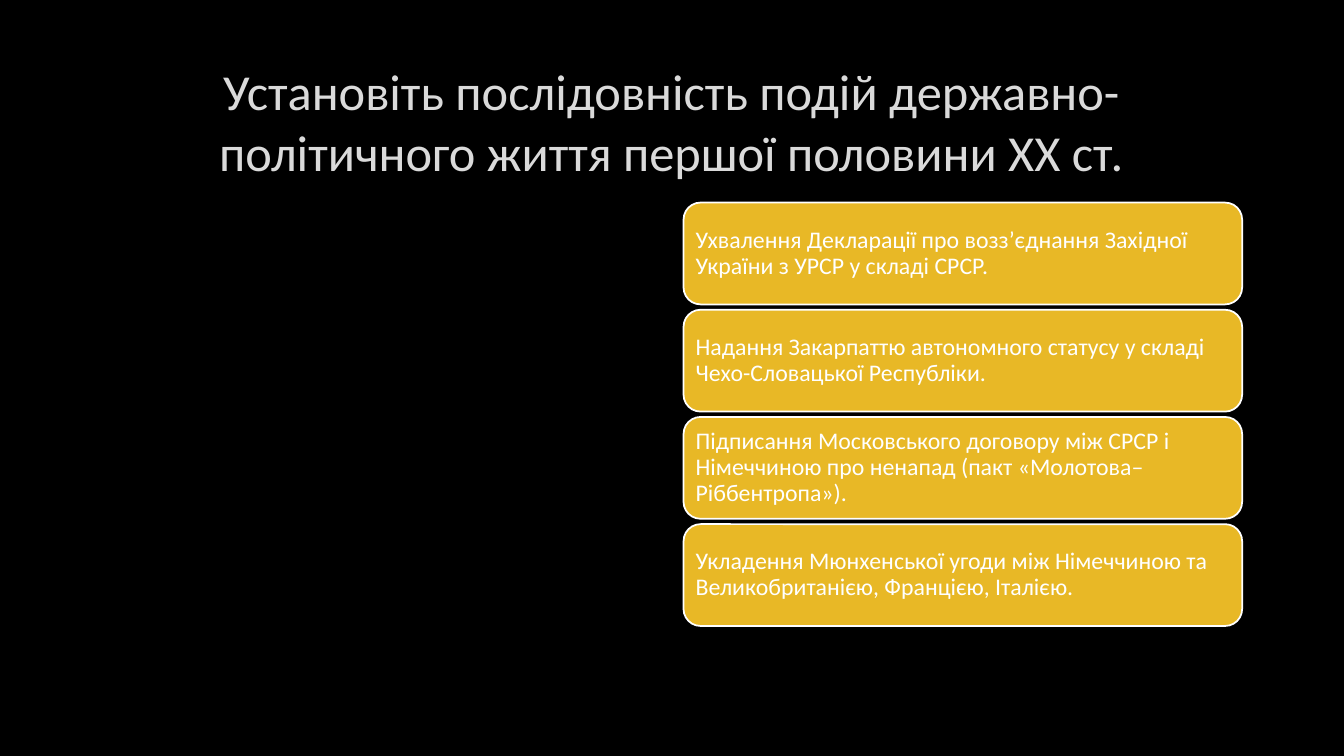
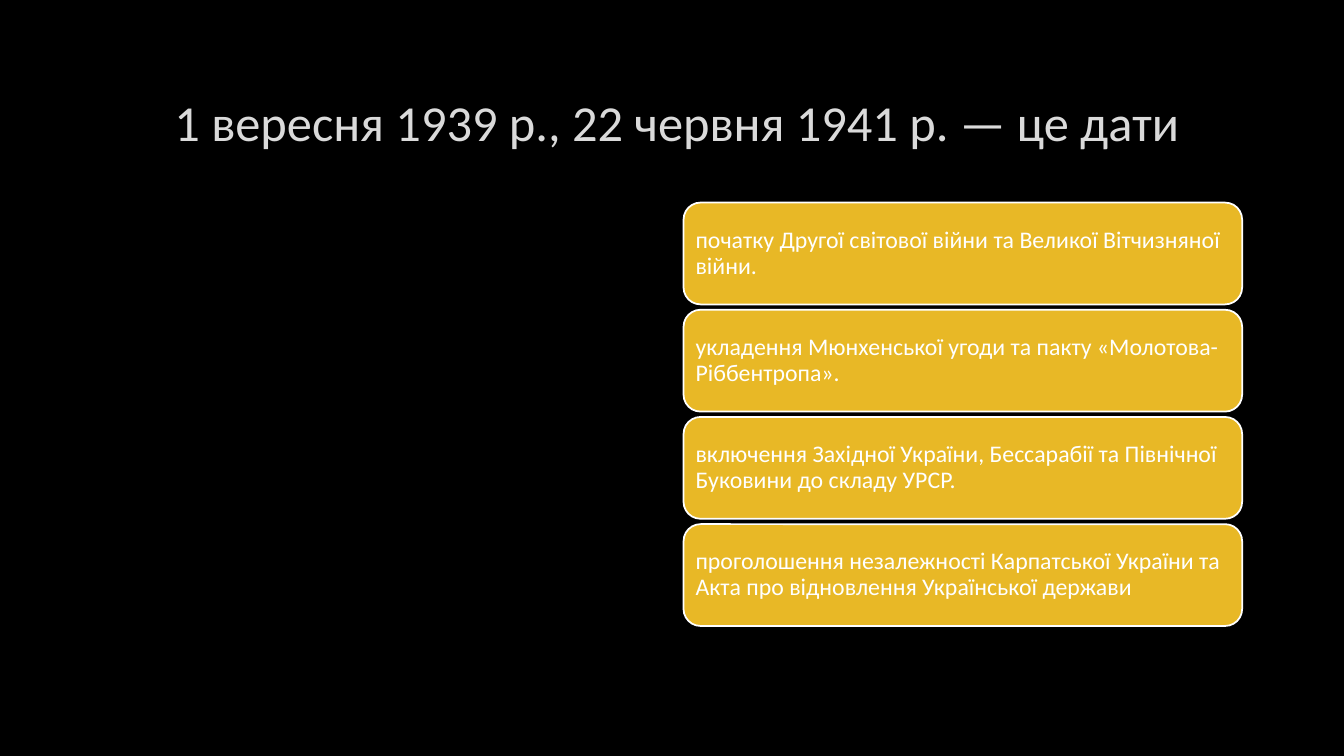
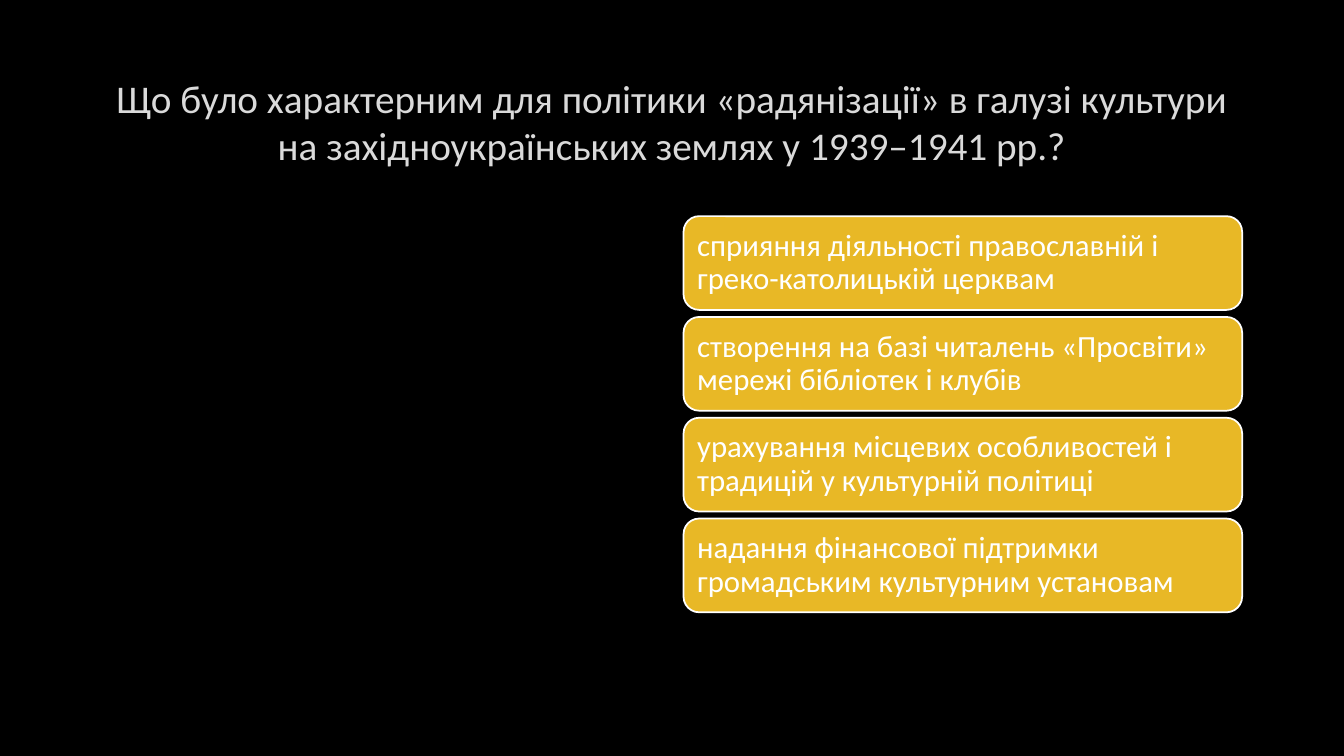
from dataclasses import dataclass

from pptx import Presentation
from pptx.dml.color import RGBColor
from pptx.enum import shapes, text
from pptx.util import Inches, Pt


@dataclass(frozen=True)
class Theme:
    font: str = "Calibri"
    background: RGBColor = RGBColor.from_string("000000")
    title_color: RGBColor = RGBColor.from_string("DADADA")
    card_fill: RGBColor = RGBColor.from_string("E8B826")
    card_text: RGBColor = RGBColor.from_string("FFFFFF")
    card_border: float = 1.25
    title_size: int = 36
    long_title_size: int = 28
    answer_size: int = 17
    large_answer_size: int = 22


@dataclass(frozen=True)
class CardStyle:
    size: int
    height: float
    stack_height: float
    inset: float


THEME = Theme()
COMPACT = CardStyle(THEME.answer_size, 1.01, 4.2, 0.07)
LARGE = CardStyle(THEME.large_answer_size, 0.93, 3.93, 0.09)

QUESTIONS = [
    (
        "Установіть послідовність подій державно-політичного життя першої половини XX ст.",
        THEME.title_size,
        COMPACT,
        [
            "Ухвалення Декларації про возз’єднання Західної України з УРСР у складі СРСР.",
            "Надання Закарпаттю автономного статусу у складі Чехо-Словацької Республіки.",
            "Підписання Московського договору між СРСР і Німеччиною про ненапад (пакт «Молотова–Ріббентропа»).",
            "Укладення Мюнхенської угоди між Німеччиною та Великобританією, Францією, Італією.",
        ],
    ),
    (
        " 1 вересня 1939 р., 22 червня 1941 р. — це дати",
        THEME.title_size,
        COMPACT,
        [
            "початку Другої світової війни та Великої Вітчизняної війни.",
            "укладення Мюнхенської угоди та пакту «Молотова-Ріббентропа».",
            "включення Західної України, Бессарабії та Північної Буковини до складу УPCP.",
            "проголошення незалежності Карпатської України та Акта про відновлення Української держави",
        ],
    ),
    (
        "Що було характерним для політики «радянізації» в галузі культури "
        "на західноукраїнських землях у 1939–1941 рр.?",
        THEME.long_title_size,
        LARGE,
        [
            "сприяння діяльності православній і греко-католицькій церквам",
            "створення на базі читалень «Просвіти» мережі бібліотек і клубів",
            "урахування місцевих особливостей і традицій у культурній політиці",
            "надання фінансової підтримки громадським культурним установам",
        ],
    ),
]


class Quiz:
    stack_left = 6.78
    stack_width = 5.54
    stack_middle = 4.11

    def __init__(self, theme):
        self.theme = theme
        self.deck = Presentation()
        self.deck.slide_width = Inches(13.33)
        self.deck.slide_height = Inches(7.5)
        self.slide = None

    def new_slide(self):
        self.slide = self.deck.slides.add_slide(self.deck.slide_layouts[6])
        fill = self.slide.background.fill
        fill.solid()
        fill.fore_color.rgb = self.theme.background

    def set_text(self, frame, wording, size, color, alignment):
        frame.word_wrap = True
        frame.vertical_anchor = text.MSO_ANCHOR.MIDDLE
        paragraph = frame.paragraphs[0]
        paragraph.text = wording
        paragraph.alignment = alignment
        paragraph.font.name = self.theme.font
        paragraph.font.size = Pt(size)
        paragraph.font.color.rgb = color
        return paragraph

    def title(self, wording, size):
        heading = self.slide.shapes.add_textbox(
            Inches(1), Inches(0.67), Inches(11.32), Inches(1.06)
        )
        self.set_text(heading.text_frame, wording, size,
                      self.theme.title_color, text.PP_ALIGN.CENTER)

    def answer(self, wording, top, style):
        card = self.slide.shapes.add_shape(
            shapes.MSO_SHAPE.ROUNDED_RECTANGLE,
            Inches(self.stack_left), Inches(top),
            Inches(self.stack_width), Inches(style.height),
        )
        card.shadow.inherit = False
        card.fill.solid()
        card.fill.fore_color.rgb = self.theme.card_fill
        card.line.color.rgb = self.theme.card_text
        card.line.width = Pt(self.theme.card_border)
        frame = card.text_frame
        frame.margin_left = frame.margin_right = Inches(style.inset)
        frame.margin_top = frame.margin_bottom = Inches(style.inset)
        paragraph = self.set_text(frame, wording, style.size,
                                  self.theme.card_text, text.PP_ALIGN.LEFT)
        paragraph.line_spacing = 0.9

    def answers(self, wordings, style):
        first_top = self.stack_middle - style.stack_height / 2
        pitch = (style.stack_height - style.height) / (len(wordings) - 1)
        for index, wording in enumerate(wordings):
            self.answer(wording, first_top + index * pitch, style)


def main():
    quiz = Quiz(THEME)
    for question, title_size, style, answers in QUESTIONS:
        quiz.new_slide()
        quiz.title(question, title_size)
        quiz.answers(answers, style)
    quiz.deck.save("out.pptx")


if __name__ == "__main__":
    main()
